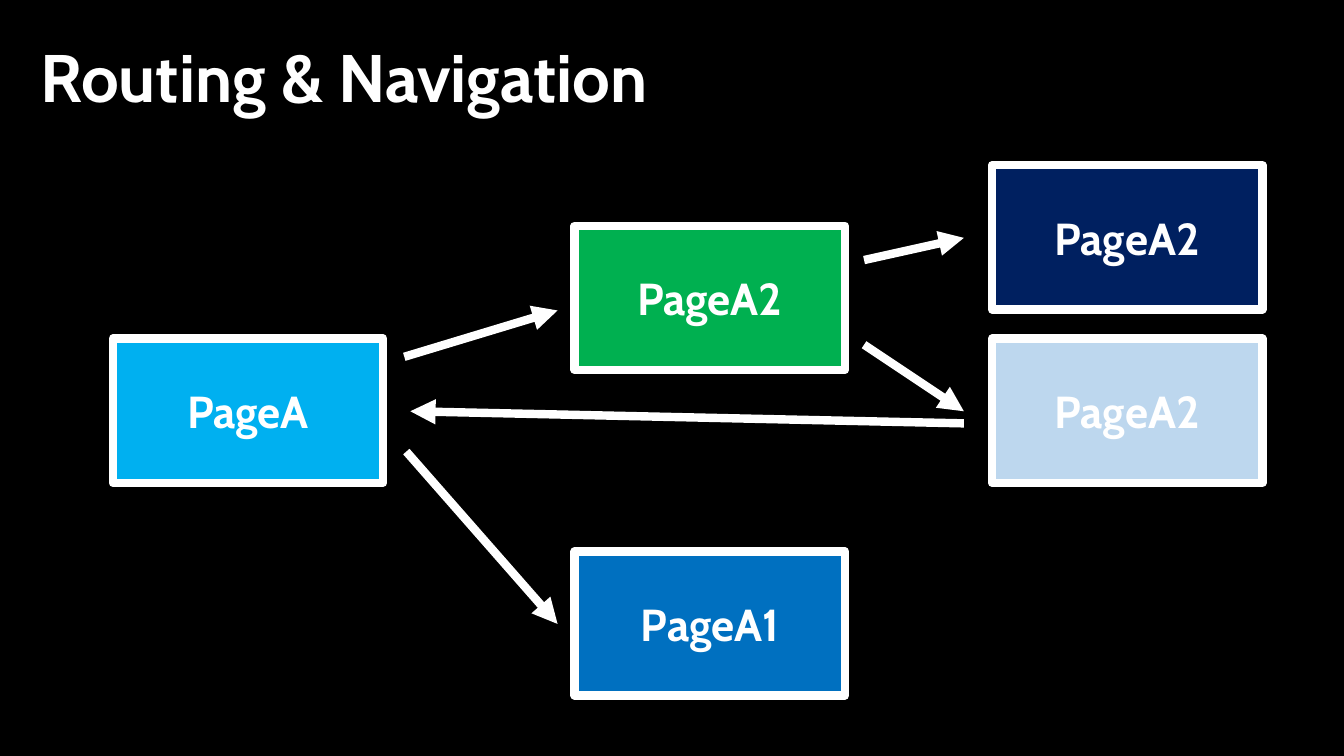
from pptx import Presentation
from pptx.dml.color import RGBColor
from pptx.enum.shapes import MSO_CONNECTOR, MSO_SHAPE
from pptx.enum.text import MSO_ANCHOR, MSO_AUTO_SIZE, PP_ALIGN
from pptx.oxml.ns import qn
from pptx.util import Inches, Pt
from lxml.etree import SubElement


def paint(color_format, color):
    color_format.rgb = RGBColor.from_string(color)


def write(shape, text, size, alignment):
    frame = shape.text_frame
    frame.word_wrap = True
    frame.auto_size = MSO_AUTO_SIZE.NONE
    frame.vertical_anchor = MSO_ANCHOR.MIDDLE
    para = frame.paragraphs[0]
    para.alignment = alignment
    span = para.add_run()
    span.text = text
    span.font.name = "Cabin"
    span.font.size = Pt(size)
    span.font.bold = True
    paint(span.font.color, "FFFFFF")
    return para


deck = Presentation()
deck.slide_width = Inches(13.33)
deck.slide_height = Inches(7.5)
page = deck.slides.add_slide(deck.slide_layouts[5])
page.background.fill.solid()
paint(page.background.fill.fore_color, "000000")

title = page.shapes.title
title.left, title.top = Inches(0.3), Inches(0.29)
title.width, title.height = Inches(12.75), Inches(1.03)
heading = write(title, "Routing & Navigation", 48, PP_ALIGN.LEFT)
heading.line_spacing = 0.9

columns = {"start": 1.12, "middle": 5.7, "end": 9.84}
rows = {"top": 1.64, "upper": 2.24, "centre": 3.36, "bottom": 5.47}
screens = [
    ("PageA", "start", "centre", "00B0F0"),
    ("PageA2", "middle", "upper", "00B050"),
    ("PageA1", "middle", "bottom", "0070C0"),
    ("PageA2", "end", "centre", "BDD7EE"),
    ("PageA2", "end", "top", "002060"),
]
for label, column, row, color in screens:
    box = page.shapes.add_shape(
        MSO_SHAPE.RECTANGLE, Inches(columns[column]), Inches(rows[row]),
        Inches(2.68), Inches(1.43))
    box.shadow.inherit = False
    box.fill.solid()
    paint(box.fill.fore_color, color)
    paint(box.line.color, "FFFFFF")
    box.line.width = Pt(6)
    write(box, label, 32, PP_ALIGN.CENTER)

routes = [
    (4.01, 3.54, 5.53, 3.08),
    (8.57, 2.58, 9.56, 2.36),
    (8.57, 3.42, 9.56, 4.08),
    (4.03, 4.48, 5.53, 6.19),
    (9.56, 4.2, 4.07, 4.08),
]
for route in routes:
    arrow = page.shapes.add_connector(
        MSO_CONNECTOR.STRAIGHT, *[Inches(length) for length in route])
    paint(arrow.line.color, "FFFFFF")
    arrow.line.width = Pt(6)
    SubElement(arrow.line._get_or_add_ln(), qn("a:tailEnd"), type="triangle")
    SubElement(arrow._element.spPr, qn("a:effectLst"))

deck.save("out.pptx")
